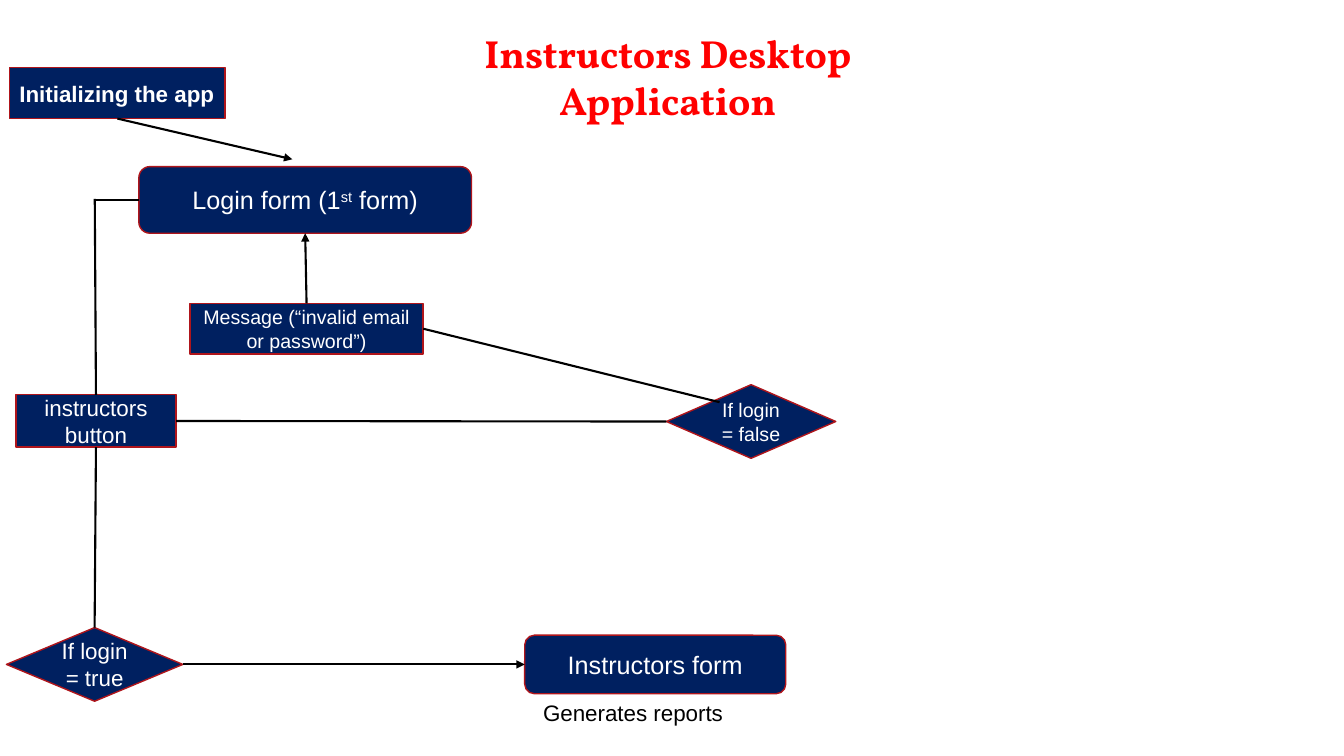
import dataclasses
import typing

import lxml.etree
import pptx
import pptx.dml.color
import pptx.enum.shapes
import pptx.enum.text
import pptx.oxml.ns
import pptx.util

Pt = pptx.util.Pt
Color = pptx.dml.color.RGBColor
Align = pptx.enum.text.PP_ALIGN
Anchor = pptx.enum.text.MSO_ANCHOR
Preset = pptx.enum.shapes.MSO_SHAPE

TOP, LEFT, BOTTOM, RIGHT = range(4)


@dataclasses.dataclass(frozen=True)
class Theme:
    navy: Color = Color(0x00, 0x20, 0x60)
    crimson: Color = Color(0xAF, 0x15, 0x1B)
    red: Color = Color(0xFF, 0x00, 0x00)
    white: Color = Color(0xFF, 0xFF, 0xFF)
    black: Color = Color(0x00, 0x00, 0x00)
    title_font: str = "Vollkorn"
    body_font: str = "Arial"
    title_size: int = 28
    form_size: int = 18
    step_size: int = 16
    small_size: int = 14
    border: float = 1
    link: float = 1.5


THEME = Theme()


class Area(typing.NamedTuple):
    left: float
    top: float
    width: float
    height: float

    def lengths(self) -> list[pptx.util.Length]:
        return [Pt(value) for value in self]


class Span(typing.NamedTuple):
    text: str
    baseline: int = 0


@dataclasses.dataclass(frozen=True)
class Step:
    key: str
    preset: Preset
    area: Area
    spans: list[Span]
    size: int
    bold: bool = False
    align: Align = Align.CENTER


class Joint(typing.NamedTuple):
    step: str
    side: int


class Point(typing.NamedTuple):
    x: float
    y: float


@dataclasses.dataclass(frozen=True)
class Link:
    start: Joint | Point
    end: Joint | Point
    arrow: bool = False


STEPS = [
    Step("start", Preset.RECTANGLE, Area(6.8, 48.3, 154.1, 36.4),
         [Span("Initializing the app")], THEME.step_size, True, Align.LEFT),
    Step("login", Preset.ROUNDED_RECTANGLE, Area(99.2, 119, 237.6, 47.6),
         [Span("Login form (1"), Span("st", 30000), Span(" form)")], THEME.form_size),
    Step("message", Preset.RECTANGLE, Area(135.7, 216.7, 166.6, 36.2),
         [Span("Message (“invalid email or password”)")], THEME.small_size),
    Step("button", Preset.RECTANGLE, Area(11.3, 282, 114.5, 37.4),
         [Span("instructors button")], THEME.step_size),
    Step("false", Preset.FLOWCHART_DECISION, Area(476, 274.8, 121, 52.6),
         [Span("If login = false")], THEME.small_size),
    Step("true", Preset.FLOWCHART_DECISION, Area(4.6, 448.3, 126, 52.6),
         [Span("If login = true")], THEME.step_size),
    Step("reports", Preset.ROUNDED_RECTANGLE, Area(374.8, 453.7, 186.5, 41.8),
         [Span("Instructors form")], THEME.form_size),
]

LINKS = [
    Link(Joint("start", BOTTOM), Point(208.8, 113.8), arrow=True),
    Link(Joint("message", TOP), Joint("login", BOTTOM), arrow=True),
    Link(Joint("login", LEFT), Point(67.7, 142.8)),
    Link(Point(67.7, 142), Joint("button", TOP)),
    Link(Joint("message", RIGHT), Point(514, 287.3)),
    Link(Joint("false", LEFT), Joint("button", RIGHT)),
    Link(Joint("button", BOTTOM), Joint("true", TOP)),
    Link(Joint("true", RIGHT), Joint("reports", LEFT), arrow=True),
]


def style_run(run: typing.Any, font: str, size: float, color: Color, bold: bool) -> None:
    run.font.name = font
    run.font.size = Pt(size)
    run.font.color.rgb = color
    run.font.bold = bold


def draw_title(slide: typing.Any) -> None:
    title = slide.shapes.title
    title.left, title.top, title.width, title.height = Area(265, 17.3, 424, 75).lengths()
    frame = title.text_frame
    frame.text = "Instructors Desktop Application"
    frame.word_wrap = True
    frame.auto_size = pptx.enum.text.MSO_AUTO_SIZE.NONE
    frame.vertical_anchor = Anchor.TOP
    para = frame.paragraphs[0]
    para.alignment = Align.CENTER
    style_run(para.runs[0], THEME.title_font, THEME.title_size, THEME.red, True)


def draw_step(slide: typing.Any, step: Step) -> typing.Any:
    box = slide.shapes.add_shape(step.preset, *step.area.lengths())
    box.shadow.inherit = False
    box.fill.solid()
    box.fill.fore_color.rgb = THEME.navy
    box.line.color.rgb = THEME.crimson
    box.line.width = Pt(THEME.border)
    box.text_frame.word_wrap = True
    box.text_frame.vertical_anchor = Anchor.MIDDLE
    para = box.text_frame.paragraphs[0]
    para.alignment = step.align
    for span in step.spans:
        run = para.add_run()
        run.text = span.text
        style_run(run, THEME.body_font, step.size, THEME.white, step.bold)
        if span.baseline:
            run.font._element.set("baseline", str(span.baseline))
    return box


def draw_link(slide: typing.Any, link: Link, boxes: dict[str, typing.Any]) -> None:
    line = slide.shapes.add_connector(
        pptx.enum.shapes.MSO_CONNECTOR.STRAIGHT, Pt(0), Pt(0), Pt(0), Pt(0))
    if isinstance(link.start, Joint):
        line.begin_connect(boxes[link.start.step], link.start.side)
    else:
        line.begin_x, line.begin_y = Pt(link.start.x), Pt(link.start.y)
    if isinstance(link.end, Joint):
        line.end_connect(boxes[link.end.step], link.end.side)
    else:
        line.end_x, line.end_y = Pt(link.end.x), Pt(link.end.y)
    line.line.color.rgb = THEME.black
    line.line.width = Pt(THEME.link)
    qualify = pptx.oxml.ns.qn
    if link.arrow:
        outline = line.line._get_or_add_ln()
        lxml.etree.SubElement(outline, qualify("a:tailEnd"), type="triangle")
    lxml.etree.SubElement(line._element.spPr, qualify("a:effectLst"))


def draw_caption(slide: typing.Any) -> None:
    caption = slide.shapes.add_textbox(*Area(380.8, 495.7, 192.2, 26.6).lengths())
    caption.text_frame.word_wrap = True
    caption.text_frame.text = "Generates reports"
    run = caption.text_frame.paragraphs[0].runs[0]
    style_run(run, THEME.body_font, THEME.step_size, THEME.black, False)


def main() -> None:
    deck = pptx.Presentation()
    deck.slide_width, deck.slide_height = Pt(960), Pt(540)
    page = deck.slides.add_slide(deck.slide_layouts.get_by_name("Title Only"))
    draw_title(page)
    boxes = {step.key: draw_step(page, step) for step in STEPS}
    for link in LINKS:
        draw_link(page, link, boxes)
    draw_caption(page)
    deck.save("out.pptx")


if __name__ == "__main__":
    main()
